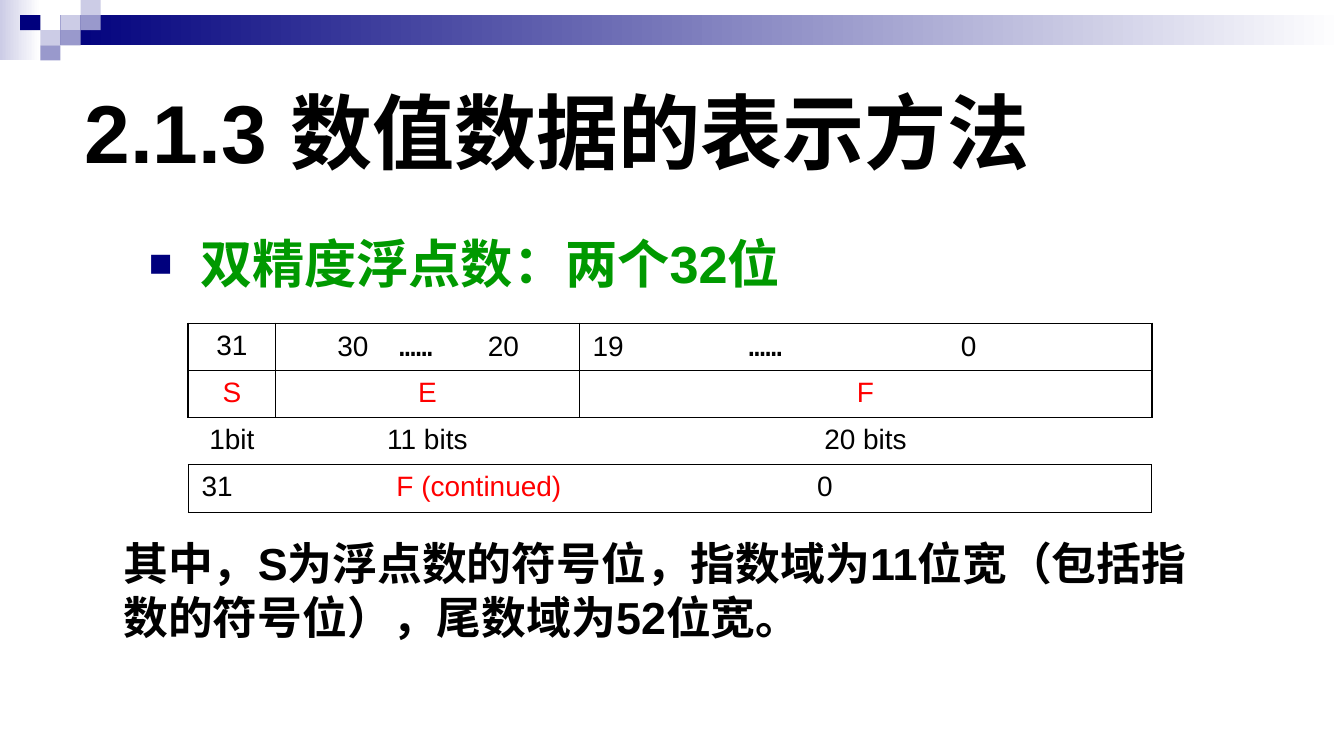
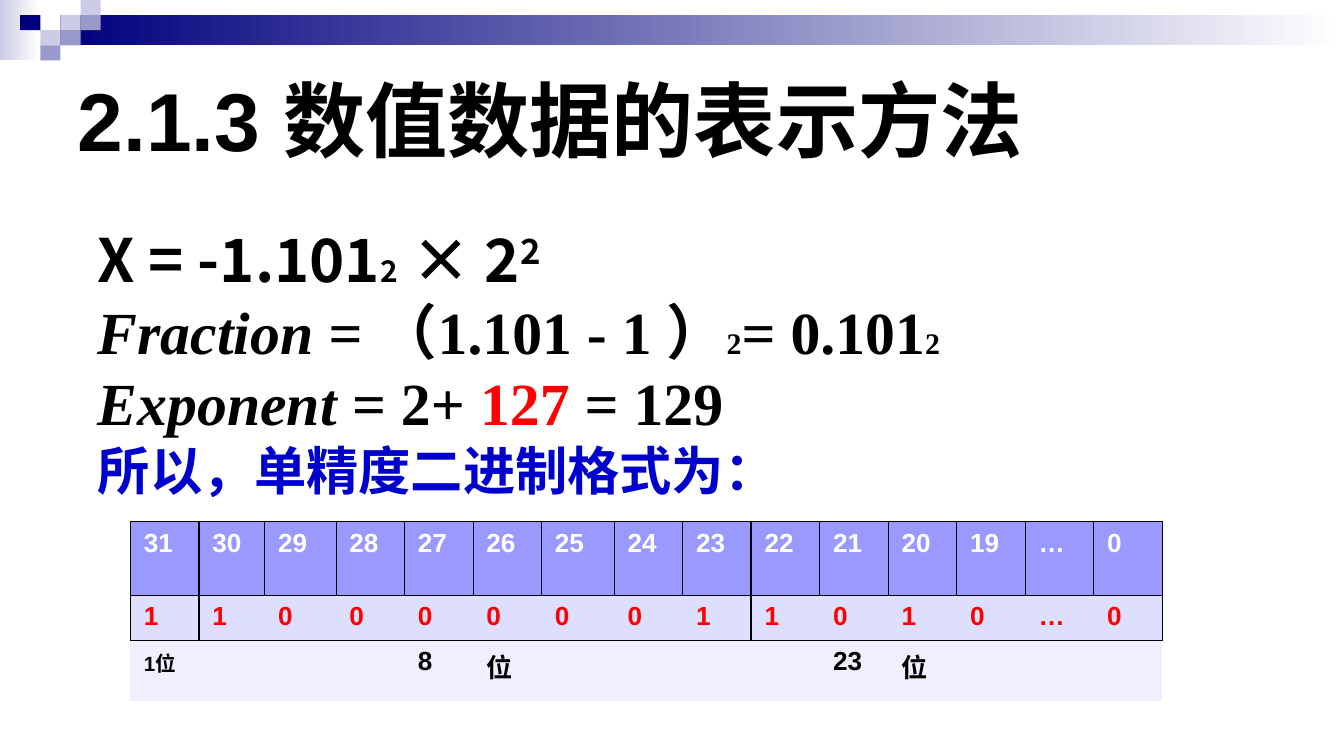
import pptx
import pptx.dml.color
import pptx.enum.shapes
import pptx.enum.text
import pptx.oxml
import pptx.oxml.ns
import pptx.util
import lxml.etree

ALIGN = pptx.enum.text.PP_ALIGN
WIDTH, HEIGHT = 10, 5.625
BLACK, WHITE, RED, GREEN, BLUE = "000000", "FFFFFF", "FF0000", "009900", "0000CC"
NAVY, LILAC, PALE = "00007D", "9999CC", "CCCCE6"
HEAD_FILL, BITS_FILL, NOTE_FILL = "9999FF", "DEDEFF", "EFEFFF"
CJK = "Noto Sans CJK SC"
MONO = "DejaVu Sans Mono"
SERIF = "Times New Roman"
NO_STYLE = "{2D5ABB26-0587-4C30-8999-92F81FD0307C}"
THIN, THICK = 0.45, 1.08
TITLE = "2.1.3 数值数据的表示方法"
TITLE_FORMAT = {"size": 44, "bold": True}
HANGING = {"indent": 0.38}


def rgb(color):
    return pptx.dml.color.RGBColor.from_string(color)


def place(x, y, w, h):
    """Turn percentages of the slide's width and height into lengths."""
    shares = (x * WIDTH, y * HEIGHT, w * WIDTH, h * HEIGHT)
    return [pptx.util.Inches(share / 100) for share in shares]


def add_xml(parent, tag, **attributes):
    name = pptx.oxml.ns.qn("a:" + tag)
    element = lxml.etree.SubElement(parent, name)
    for key, value in attributes.items():
        element.set(key, str(value))
    return element


def add_run(p, text, size, color=BLACK, name="Arial", ea=CJK, raised=0, **format_values):
    r = p.add_run()
    r.text = text
    values = {"name": name, "size": pptx.util.Pt(size), **format_values}
    for key, value in values.items():
        setattr(r.font, key, value)
    r.font.color.rgb = rgb(color)
    rPr = r.font._element
    if raised:
        rPr.set("baseline", str(raised * 1000))
    add_xml(rPr, "ea", typeface=ea)


def set_paragraph(p, indent=0, bullet=None, tabs=(), **format_values):
    for key, value in format_values.items():
        setattr(p, key, value)
    pPr = p._p.get_or_add_pPr()
    if indent:
        hang = pptx.util.Inches(indent)
        pPr.set("marL", str(hang))
        pPr.set("indent", str(-hang))
    if bullet:
        add_xml(add_xml(pPr, "buClr"), "srgbClr", val=NAVY)
        add_xml(pPr, "buSzPct", val=75000)
        add_xml(pPr, "buFont", typeface="Arial")
        add_xml(pPr, "buChar", char=bullet)
    if tabs:
        tab_list = add_xml(pPr, "tabLst")
        for tab in tabs:
            add_xml(tab_list, "tab", pos=pptx.util.Inches(tab), algn="l")


def add_text(s, box, paragraphs, anchor="TOP"):
    """Add a text box from pairs of paragraph format and runs."""
    tf = s.shapes.add_textbox(*place(*box)).text_frame
    tf.word_wrap = True
    tf.vertical_anchor = getattr(pptx.enum.text.MSO_ANCHOR, anchor)
    for i, (layout, runs) in enumerate(paragraphs):
        p = tf.add_paragraph() if i else tf.paragraphs[0]
        set_paragraph(p, **layout)
        for text, values in runs:
            add_run(p, text, **values)


def add_title(s, x, y):
    add_text(s, (x, y, 90, 10.7), [({}, [(TITLE, TITLE_FORMAT)])], "MIDDLE")


def add_block(s, column, row, columns, rows, *colors):
    """Add a rectangle on the header grid; two colours make a gradient."""
    box = place(column * 1.5, row * 2, columns * 1.5, rows * 2)
    sp = s.shapes.add_shape(pptx.enum.shapes.MSO_SHAPE.RECTANGLE, *box)
    sp.shadow.inherit = False
    sp.line.fill.background()
    if len(colors) == 1:
        sp.fill.solid()
        sp.fill.fore_color.rgb = rgb(colors[0])
        return
    sp.fill.gradient()
    sp.fill.gradient_angle = 0
    for stop, color in zip(sp.fill.gradient_stops, colors):
        stop.color.rgb = rgb(color)


def add_header(s):
    add_block(s, 0, 0, 2, 4, PALE, WHITE)
    add_block(s, 3, 1, 100 / 1.5 - 3, 2, NAVY, WHITE)
    squares = [(3, 1, PALE), (4, 0, PALE), (4, 1, LILAC), (2, 2, PALE),
               (1, 1, NAVY), (3, 2, LILAC), (2, 3, LILAC)]
    for column, row, color in squares:
        add_block(s, column, row, 1, 1, color)


def add_table(s, x, y, widths, heights):
    box = place(x, y, 10 * sum(widths), 100 * sum(heights) / HEIGHT)
    table = s.shapes.add_table(len(heights), len(widths), *box).table
    table.first_row = table.horz_banding = False
    style = table._tbl.tblPr.find(pptx.oxml.ns.qn("a:tableStyleId"))
    style.text = NO_STYLE
    for column, width in zip(table.columns, widths):
        column.width = pptx.util.Inches(width)
    for row, height in zip(table.rows, heights):
        row.height = pptx.util.Inches(height)
    return table


def format_cell(cell, borders, fill=None):
    """Set borders, given as widths for the sides L, R, T and B, and the fill."""
    tcPr = cell._tc.get_or_add_tcPr()
    for side in "LRTB":
        width = borders.get(side)
        if width:
            line = add_xml(tcPr, "ln" + side, w=pptx.util.Pt(width))
            add_xml(add_xml(line, "solidFill"), "srgbClr", val=BLACK)
        else:
            add_xml(add_xml(tcPr, "ln" + side, w=0), "noFill")
    if fill:
        cell.fill.solid()
        cell.fill.fore_color.rgb = rgb(fill)
    else:
        cell.fill.background()


def write_cell(cell, runs, layout, margin=0.1):
    cell.margin_left = pptx.util.Inches(margin)
    p = cell.text_frame.paragraphs[0]
    set_paragraph(p, **layout)
    for text, values in runs:
        add_run(p, text, **values)


def add_double_precision_table(s):
    table = add_table(s, 14, 42.8, [0.65, 2.26, 4.26], [0.29, 0.29, 0.25, 0.25])
    plain, red, dots = {"size": 15}, {"size": 15, "color": RED}, {"size": 15, "name": MONO, "ea": MONO}
    centred = {"alignment": ALIGN.CENTER}
    for row in range(4):
        for column in range(3):
            borders = {}
            if row < 2:
                borders = {"L": THIN if column else THICK, "R": THICK if column == 2 else THIN,
                           "T": THIN if row else THICK, "B": THIN}
            elif row == 3:
                borders = dict.fromkeys("LRTB", THIN)
            format_cell(table.cell(row, column), borders)
    table.cell(3, 0).merge(table.cell(3, 2))

    write_cell(table.cell(0, 0), [("31", plain)], centred)
    write_cell(table.cell(0, 1), [("30\t", plain), ("……", dots), ("\t20", plain)],
               {"tabs": [0.46, 1.12]}, margin=0.46)
    write_cell(table.cell(0, 2), [("19\t", plain), ("……", dots), ("\t0", plain)],
               {"tabs": [1.16, 2.74]})
    labels = [(["S", "E", "F"], red), (["1bit", "11 bits", "20 bits"], plain)]
    for row, (texts, values) in enumerate(labels, 1):
        for column, text in enumerate(texts):
            write_cell(table.cell(row, column), [(text, values)], centred)
    write_cell(table.cell(3, 0), [("31\t", plain), ("F (continued)\t", red), ("0", plain)],
               {"tabs": [1.45, 4.58]})


def add_single_precision_table(s):
    widths = [0.51, 0.49, 0.53] + [0.51] * 3 + [0.54] + [0.51] * 8
    widths[6], widths[7] = 0.54, 0.51
    table = add_table(s, 9.7, 69, widths, [0.55, 0.31, 0.45])
    numbers = [str(n) for n in range(31, 18, -1)] + ["…", "0"]
    bits = list("1100000011010…0"[:1] + "10000001" + "1010…0")
    notes = {0: "1位", 4: "8", 5: "位", 10: "23", 11: "位"}
    rows = [(numbers, WHITE, HEAD_FILL), (bits, RED, BITS_FILL),
            ([notes.get(column, "") for column in range(15)], BLACK, NOTE_FILL)]
    field_starts, field_ends = (1, 9), (0, 8)
    for row, (texts, color, fill) in enumerate(rows):
        for column, text in enumerate(texts):
            cell = table.cell(row, column)
            borders = {}
            if row < 2:
                inner = 0 if row else THIN
                borders = {"L": THICK if column in field_starts else THIN if column == 0 else inner,
                           "R": THICK if column in field_ends else THIN if column == 14 else inner,
                           "T": THIN, "B": THIN}
            format_cell(cell, borders, fill)
            if text:
                size = 11 if text == "1位" else 14
                write_cell(cell, [(text, {"size": size, "color": color, "bold": True})], {})


def add_double_precision_slide(s):
    add_header(s)
    add_title(s, 5.3, 11.9)
    add_text(s, (10.1, 30.6, 85.9, 11),
             [({"indent": 0.38, "bullet": "■", "line_spacing": 0.9},
               [("双精度浮点数：两个32位", {"size": 28, "color": GREEN, "bold": True})])])
    add_text(s, (8.2, 70, 82.6, 16),
             [({}, [("其中，S为浮点数的符号位，指数域为11位宽（包括指数的符号位），尾数域为52位宽。",
                     {"size": 24, "bold": True})])])
    add_double_precision_table(s)


def add_single_precision_slide(s):
    add_header(s)
    add_title(s, 4.8, 10.3)
    sans = {"size": 32, "name": CJK, "bold": True}
    serif = {**sans, "name": SERIF}
    italic = {**serif, "italic": True}
    small = {"size": 16}
    add_text(s, (6.3, 28.6, 89.6, 31.8), [
        ({**HANGING, "alignment": ALIGN.JUSTIFY},
         [("X = -1.101", sans), ("2", {**sans, **small}), (" × 2", sans),
          ("2", {**sans, "raised": 30})]),
        (HANGING,
         [("Fraction = ", italic), ("（1.101 - 1 ）", serif), ("2", {**serif, **small}),
          ("= 0.101", serif), ("2", {**serif, **small})]),
        (HANGING,
         [("Exponent", italic), (" = 2+ ", serif), ("127", {**serif, "color": RED}),
          (" = 129", serif)]),
        (HANGING,
         [("所以，单精度二进制格式为：", {**serif, "size": 28, "color": BLUE})]),
    ])
    add_single_precision_table(s)


def main():
    prs = pptx.Presentation()
    prs.slide_width = pptx.util.Inches(WIDTH)
    prs.slide_height = pptx.util.Inches(HEIGHT)
    for build in (add_double_precision_slide, add_single_precision_slide):
        build(prs.slides.add_slide(prs.slide_layouts[6]))
    prs.save("out.pptx")


if __name__ == "__main__":
    main()
